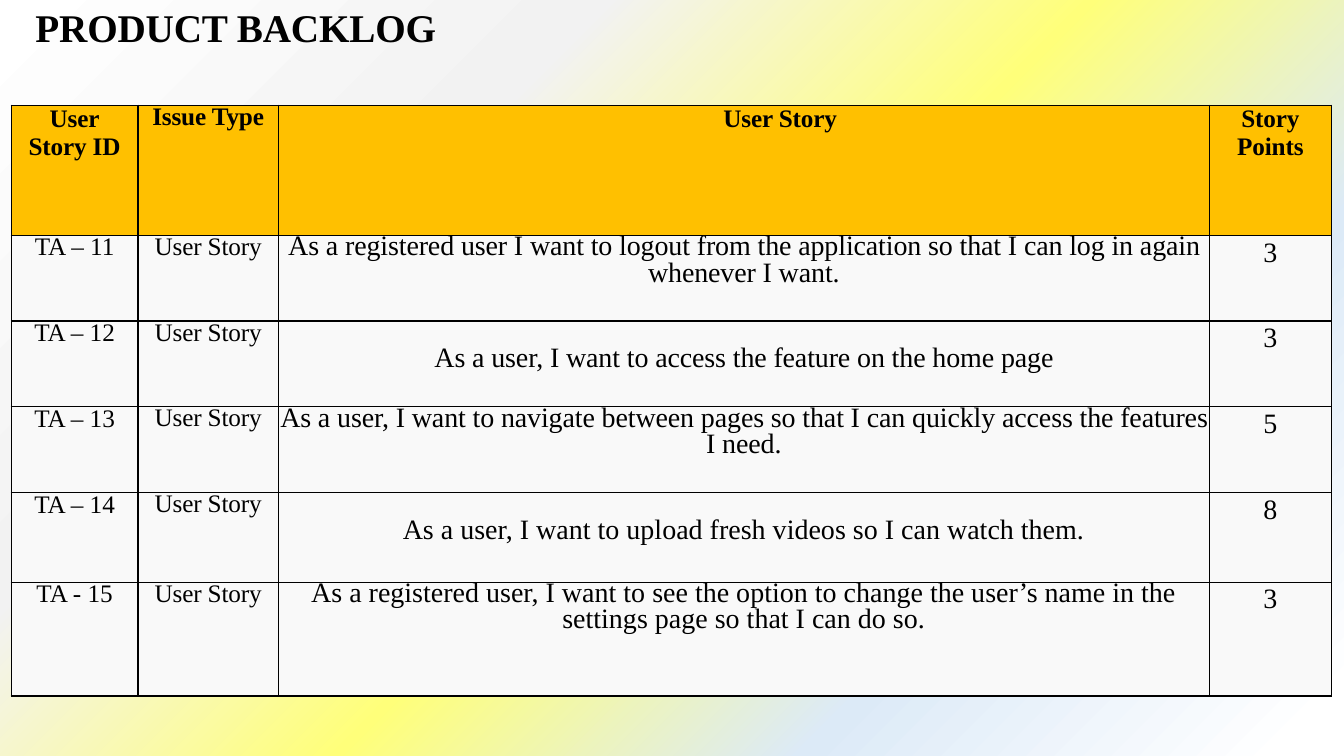
from lxml import etree
from pptx import Presentation
from pptx.dml.color import RGBColor
from pptx.enum.text import MSO_ANCHOR, MSO_AUTO_SIZE, PP_ALIGN
from pptx.oxml.ns import qn
from pptx.util import Cm, Pt

LEFT, CENTER = PP_ALIGN.LEFT, PP_ALIGN.CENTER
TOP = MSO_ANCHOR.TOP
GROW = MSO_AUTO_SIZE.SHAPE_TO_FIT_TEXT

# Content
TITLE = "PRODUCT BACKLOG"
HEADS = [  # lines of text, format
    (["User", "Story ID"], {}),
    (["Issue Type"], {"lead": 18.1}),
    (["User Story"], {"indent": 1.83}),
    (["Story", "Points"], {}),
]
KIND = "User Story"
ROWS = [  # id, story, points, letter spacing, space above the story
    ("TA – 11", "As a registered user I want to logout from the application "
     "so that I can log in again whenever I want.", "3", -0.1, 0),
    ("TA – 12", "As a user, I want to access the feature on the home page",
     "3", -0.1, 18.9),
    ("TA – 13", "As a user, I want to navigate between pages so that I can "
     "quickly access the features I need.", "5", -0.1, 0),
    ("TA – 14", "As a user, I want to upload fresh videos so I can watch them.",
     "8", 0, 19),
    ("TA - 15", "As a registered user, I want to see the option to change the "
     "user’s name in the settings page so that I can do so.", "3", 0, 0),
]

# Theme
THEME = {
    "font": "Times New Roman", "ink": "000000", "head": "FFC000",
    "body": "F9F9F9", "title": 28, "label": 18, "story": 20, "line": 1,
    "stops": [(0, "FFFFFF", 100), (29, "F2F2F2", 100), (52, "FFFF7A", 23),
              (74, "DCEAF7", 100), (97, "FFFFFF", 100)],
}
COLS = [3.2, 3.53, 23.47, 3.07]
HEIGHTS = [3.28, 2.16, 2.16, 2.16, 2.26, 2.87]


def write(frame, lines, size, bold=False, align=CENTER, lead=None, gap=0, indent=0):
    """Fill a text frame, one paragraph a line."""
    for i, line in enumerate(lines):
        para = frame.paragraphs[0] if i == 0 else frame.add_paragraph()
        para.alignment = align
        if lead:
            para.line_spacing = Pt(lead)
        if indent:
            para._p.get_or_add_pPr().set("marL", str(Cm(indent)))
        run = para.add_run()
        run.text = line
        font = run.font
        font.name, font.size, font.bold = THEME["font"], Pt(size), bold
        font.color.rgb = RGBColor.from_string(THEME["ink"])
        run._r.get_or_add_rPr().set("spc", str(round(gap * 100)))


def add(parent, tag, **attrs):
    return etree.SubElement(parent, qn(tag), attrs)


def paint(slide):
    """Give the slide its gradient background."""
    slide.background.fill.gradient()
    grad = slide.element.find(".//" + qn("a:gradFill"))
    for child in list(grad):
        grad.remove(child)
    stops = add(grad, "a:gsLst")
    for place, color, alpha in THEME["stops"]:
        stop = add(stops, "a:gs", pos=str(place * 1000))
        tint = add(stop, "a:srgbClr", val=color)
        if alpha < 100:
            add(tint, "a:alpha", val=str(alpha * 1000))
    shade = add(grad, "a:path")
    shade.set("path", "circle")
    add(shade, "a:fillToRect", r="100000", b="100000")


def dress(cell, color):
    """Set the margins, borders and fill of a cell."""
    cell.margin_left = cell.margin_right = 0
    cell.margin_top = cell.margin_bottom = 0
    cell.vertical_anchor = TOP
    props = cell._tc.get_or_add_tcPr()
    for side in "LRTB":
        line = add(props, "a:ln" + side, w=str(Pt(THEME["line"])))
        add(add(line, "a:solidFill"), "a:srgbClr", val=THEME["ink"])
    cell.fill.solid()
    cell.fill.fore_color.rgb = RGBColor.from_string(color)


def main():
    deck = Presentation()
    deck.slide_width, deck.slide_height = Cm(33.87), Cm(19.05)
    slide = deck.slides.add_slide(deck.slide_layouts[5])
    paint(slide)

    # Title
    title = slide.shapes.title
    title.left, title.top = Cm(0.64), Cm(-0.05)
    title.width, title.height = Cm(16.92), Cm(1.45)
    frame = title.text_frame
    frame.word_wrap, frame.auto_size = True, GROW
    frame.vertical_anchor = TOP
    write(frame, [TITLE], THEME["title"], bold=True, align=LEFT, gap=-0.1)

    # Table grid
    table = slide.shapes.add_table(
        len(HEIGHTS), len(COLS), Cm(0.28), Cm(2.65),
        Cm(sum(COLS)), Cm(sum(HEIGHTS))).table
    table.horz_banding = False
    for col, width in zip(table.columns, COLS):
        col.width = Cm(width)
    for row, height in zip(table.rows, HEIGHTS):
        row.height = Cm(height)

    # Header row
    label, big = THEME["label"], THEME["story"]
    for c, (lines, form) in enumerate(HEADS):
        cell = table.cell(0, c)
        dress(cell, THEME["head"])
        write(cell.text_frame, lines, label, bold=True, gap=-0.1, **form)

    # Story rows
    for r, (code, story, points, gap, above) in enumerate(ROWS, 1):
        parts = [
            (code, label, {"lead": 18.6}),
            (KIND, label, {"lead": 18.1, "gap": -0.1}),
            (story, big, {"lead": 18.9, "gap": gap}),
            (points, big, {"lead": 23.4}),
        ]
        for c, (text, size, form) in enumerate(parts):
            cell = table.cell(r, c)
            dress(cell, THEME["body"])
            write(cell.text_frame, [text], size, **form)
        table.cell(r, 2).margin_top = Pt(above)

    deck.save("out.pptx")


if __name__ == "__main__":
    main()
